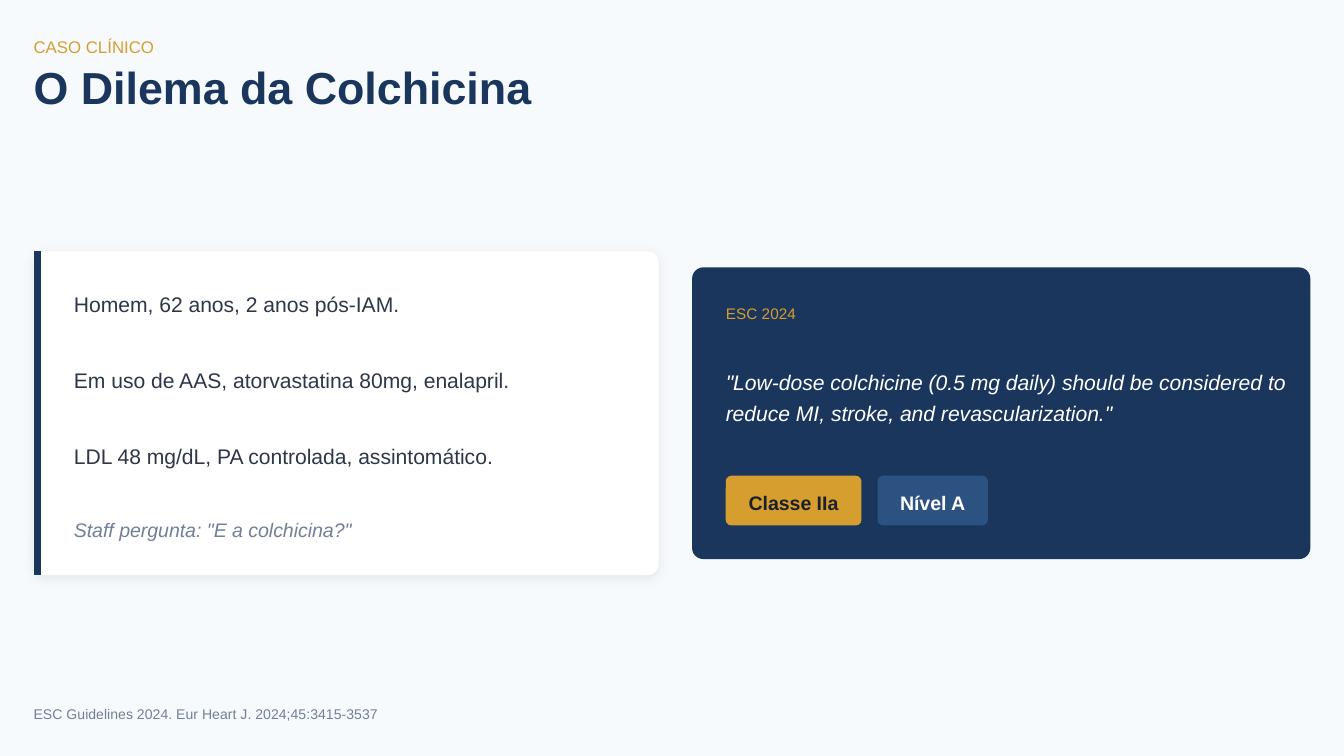
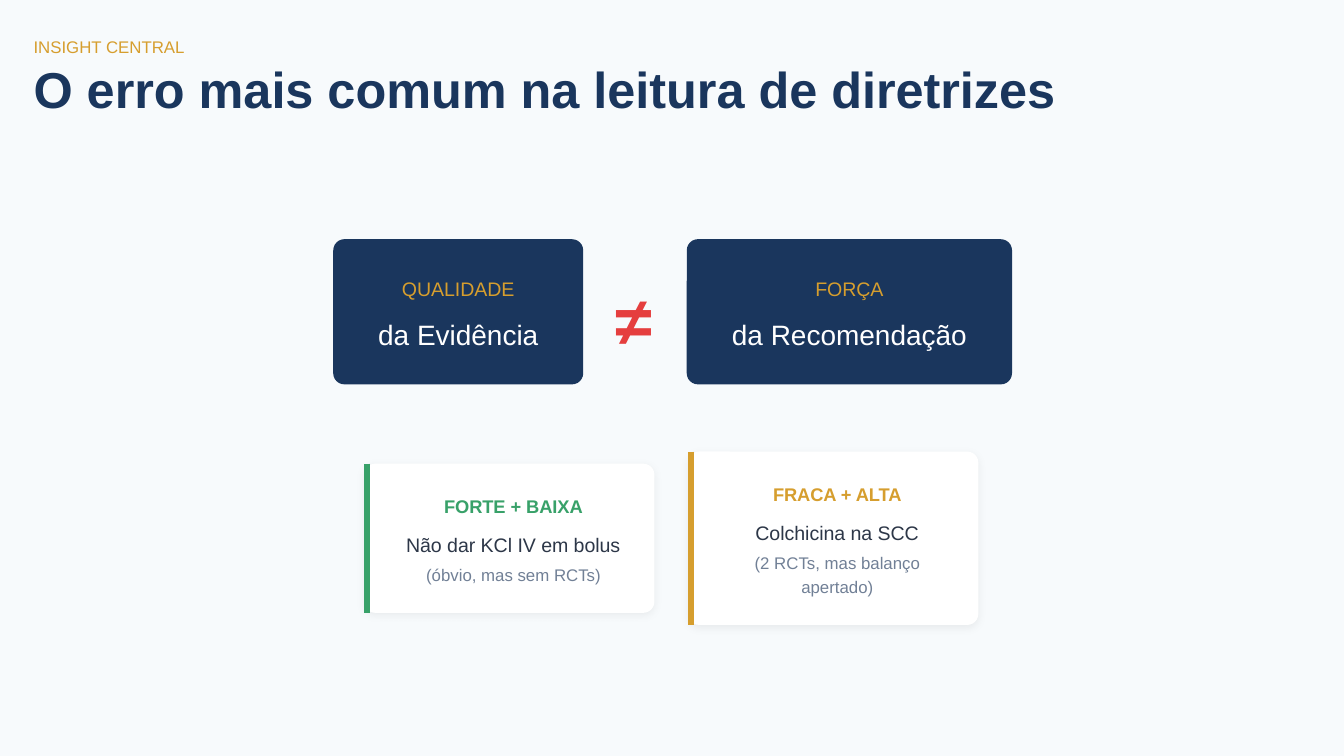
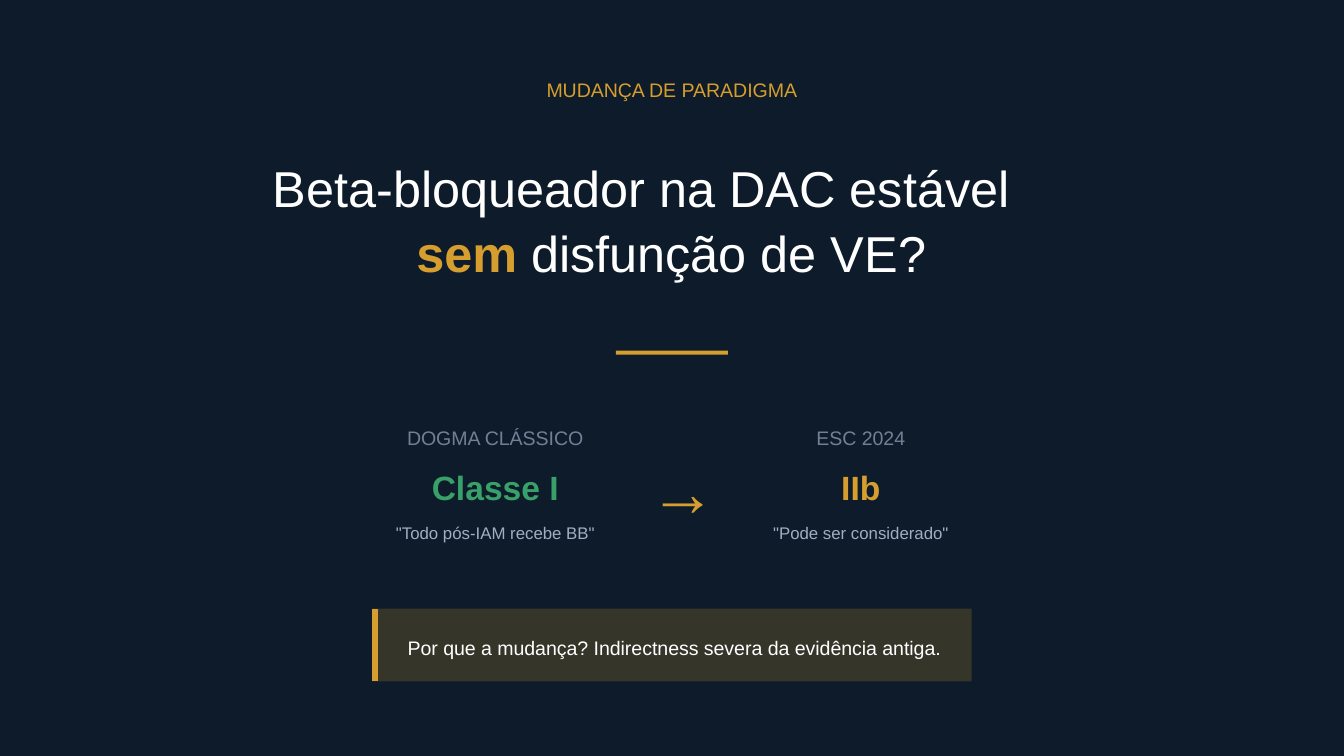
from dataclasses import dataclass

from lxml.etree import SubElement
from pptx import Presentation
from pptx.dml.color import RGBColor
from pptx.enum.shapes import MSO_CONNECTOR, MSO_SHAPE
from pptx.enum.text import MSO_ANCHOR, MSO_AUTO_SIZE, PP_ALIGN
from pptx.oxml.ns import qn
from pptx.util import Inches, Pt

# Shared look
COLORS = {
    "paper": "F7FAFC", "night": "0D1B2A", "white": "FFFFFF", "navy": "1A365D",
    "blue": "2C5282", "gold": "D69E2E", "green": "38A169", "red": "E53E3E",
    "ink": "2D3748", "black": "1A202C", "gray": "718096", "silver": "A0AEC0",
}
FONT = "Arial"
COLUMNS, ROWS = 100, 56.25  # grid cells of a tenth of an inch
POINTS_PER_CELL = 7.2
MARGIN = 2.5
LEFT, CENTER = PP_ALIGN.LEFT, PP_ALIGN.CENTER
CORNER, BADGE_CORNER = 0.83, 0.42
TITLE_ONLY, TITLE_AND_BODY = 5, 1


@dataclass
class Span:
    text: str
    color: str
    bold: bool = False
    italic: bool = False


@dataclass
class Line:
    spans: list
    size: float
    leading: float = 1.4
    rows: int = 1
    gap: float = 0  # points kept free below

    @property
    def height(self):
        return self.size * self.leading * self.rows / POINTS_PER_CELL


def line(text, color, size, bold=False, italic=False, **spacing):
    return Line([Span(text, color, bold, italic)], size, **spacing)


def cells(*counts):
    return [Inches(count / 10) for count in counts]


def rgb(name):
    return RGBColor.from_string(COLORS[name])


# Text
def clear_margins(frame):
    frame.word_wrap = True
    frame.auto_size = MSO_AUTO_SIZE.NONE
    frame.vertical_anchor = MSO_ANCHOR.TOP
    frame.margin_left = frame.margin_right = 0
    frame.margin_top = frame.margin_bottom = 0


def write(para, item, align):
    para.alignment = align
    para.line_spacing = Pt(item.size * item.leading)
    para.space_before, para.space_after = Pt(0), Pt(item.gap)
    for part in item.spans:
        span = para.add_run()
        span.text = part.text
        span.font.name, span.font.size = FONT, Pt(item.size)
        span.font.bold, span.font.italic = part.bold, part.italic
        span.font.color.rgb = rgb(part.color)


def add_stack(page, left, top, width, items, align=LEFT):
    """One text box for each line, from the top down."""
    for item in items:
        box = page.shapes.add_textbox(*cells(left, top, width, item.height))
        clear_margins(box.text_frame)
        write(box.text_frame.paragraphs[0], item, align)
        top += item.height + item.gap / POINTS_PER_CELL


def fill_placeholder(holder, left, top, width, height, items, aligns):
    holder.left, holder.top, holder.width, holder.height = cells(left, top, width, height)
    frame = holder.text_frame
    clear_margins(frame)
    for index, (item, align) in enumerate(zip(items, aligns)):
        para = frame.add_paragraph() if index else frame.paragraphs[0]
        write(para, item, align)


def set_list(page, left, top, width, items):
    body = page.placeholders[1]
    height = sum(item.height + item.gap / POINTS_PER_CELL for item in items)
    fill_placeholder(body, left, top, width, height, items, [LEFT] * len(items))
    for para in body.text_frame.paragraphs:
        properties = para._p.get_or_add_pPr()
        properties.set("marL", "0")
        properties.set("indent", "0")
        SubElement(properties, qn("a:buNone"))
    page.shapes._spTree.append(body._element)  # in front of its card


# Shapes
def add_block(page, left, top, width, height, color, corner=0, opacity=None):
    kind = MSO_SHAPE.ROUNDED_RECTANGLE if corner else MSO_SHAPE.RECTANGLE
    block = page.shapes.add_shape(kind, *cells(left, top, width, height))
    block.shadow.inherit = False
    block.fill.solid()
    block.fill.fore_color.rgb = rgb(color)
    block.line.fill.background()
    if corner:
        block.adjustments[0] = corner / min(width, height)
    if opacity:
        tone = block._element.spPr.find(".//" + qn("a:srgbClr"))
        SubElement(tone, qn("a:alpha"), val=str(opacity * 1000))
    return block


def add_soft_shadow(block, opacity, blur):
    effects = block._element.spPr.find(qn("a:effectLst"))
    shadow = SubElement(effects, qn("a:outerShdw"), blurRad=str(Pt(blur)),
                        dist=str(Pt(1.5)), dir="5400000", algn="bl", rotWithShape="0")
    tone = SubElement(shadow, qn("a:srgbClr"), val="000000")
    SubElement(tone, qn("a:alpha"), val=str(opacity * 1000))


def add_edge(page, left, top, height, color, weight):
    """Coloured stripe inside the left side of a block."""
    middle = left + weight / POINTS_PER_CELL / 2
    edge = page.shapes.add_connector(
        MSO_CONNECTOR.STRAIGHT, *cells(middle, top, middle, top + height))
    edge.line.color.rgb = rgb(color)
    edge.line.width = Pt(weight)
    SubElement(edge._element.spPr, qn("a:effectLst"))


def add_card(page, left, top, width, height, color, weight=3, opacity=6, blur=4.5):
    card = add_block(page, left, top, width, height, "white", CORNER)
    add_soft_shadow(card, opacity, blur)
    add_edge(page, left, top, height, color, weight)


def add_badge(page, left, top, width, text, color, text_color):
    add_block(page, left, top, width, 3.7, color, BADGE_CORNER)
    add_stack(page, left + 1.6, top + 0.82, width - 3.2,
              [line(text, text_color, 10.5, bold=True)], CENTER)


# Pages
def add_page(deck, background, layout=TITLE_ONLY):
    page = deck.slides.add_slide(deck.slide_layouts[layout])
    page.background.fill.solid()
    page.background.fill.fore_color.rgb = rgb(background)
    return page


def add_heading(page, label, title, size):
    add_stack(page, MARGIN, 2.5, COLUMNS - 2 * MARGIN, [line(label, "gold", 9)])
    heading = line(title, "navy", size, bold=True, leading=1)
    fill_placeholder(page.shapes.title, MARGIN, 5.1, COLUMNS - 2 * MARGIN,
                     heading.height, [heading], [LEFT])


def add_case_page(deck):
    page = add_page(deck, "paper", TITLE_AND_BODY)
    add_heading(page, "CASO CLÍNICO", "O Dilema da Colchicina", 24)

    # Patient card
    add_card(page, MARGIN, 18.7, 46.5, 24.1, "navy", weight=3.75, opacity=8, blur=6)
    facts = ["Homem, 62 anos, 2 anos pós-IAM.",
             "Em uso de AAS, atorvastatina 80mg, enalapril.",
             "LDL 48 mg/dL, PA controlada, assintomático."]
    items = [line(fact, "ink", 11.25, leading=1.5, gap=24) for fact in facts]
    items.append(line('Staff pergunta: "E a colchicina?"', "gray", 10.5, italic=True))
    set_list(page, 5.5, 21.2, 41.8, items)

    # Guideline panel
    add_block(page, 51.5, 19.9, 46, 21.7, "navy", CORNER)
    add_stack(page, 54, 22.4, 41.8, [
        line("ESC 2024", "gold", 8.25, gap=21.5),
        line('"Low-dose colchicine (0.5 mg daily) should be considered to reduce MI, '
             'stroke, and revascularization."', "white", 11.25,
             italic=True, leading=1.5, rows=2),
    ])
    add_badge(page, 54, 35.4, 10.1, "Classe IIa", "gold", "black")
    add_badge(page, 65.3, 35.4, 8.2, "Nível A", "blue", "white")

    # Source
    add_stack(page, MARGIN, 52.3, COLUMNS - 2 * MARGIN, [
        line("ESC Guidelines 2024. Eur Heart J. 2024;45:3415-3537", "gray", 7.5)])


def add_insight_page(deck):
    page = add_page(deck, "paper")
    add_heading(page, "INSIGHT CENTRAL", "O erro mais comum na leitura de diretrizes", 27)

    # Two concepts that differ
    for left, width, name, subject in [
        (24.8, 18.6, "QUALIDADE", "da Evidência"),
        (51.1, 24.2, "FORÇA", "da Recomendação"),
    ]:
        add_block(page, left, 17.8, width, 10.8, "navy", CORNER)
        add_stack(page, left + 3.2, 20.3, width - 6.4, [
            line(name, "gold", 10.5, gap=6), line(subject, "white", 15)], CENTER)
    add_stack(page, 45.8, 19.7, 2.8, [line("≠", "red", 36, bold=True)], CENTER)

    # Example cards
    for left, top, height, color, name, example, remark, rows in [
        (27.1, 34.5, 11.1, "green", "FORTE + BAIXA", "Não dar KCl IV em bolus",
         "(óbvio, mas sem RCTs)", 1),
        (51.2, 33.6, 12.9, "gold", "FRACA + ALTA", "Colchicina na SCC",
         "(2 RCTs, mas balanço apertado)", 2),
    ]:
        add_card(page, left, top, 21.6, height, color)
        add_stack(page, left + 2.4, top + 2.1, 17.4, [
            line(name, color, 9.75, bold=True, gap=6),
            line(example, "ink", 10.5, gap=3),
            line(remark, "gray", 9, rows=rows)], CENTER)


def add_paradigm_page(deck):
    page = add_page(deck, "night")
    add_stack(page, 38.3, 5.5, 23.4, [line("MUDANÇA DE PARADIGMA", "gold", 10.5)], CENTER)

    # Question
    question = [
        line("Beta-bloqueador na DAC estável", "white", 27, leading=1.3),
        Line([Span("sem", "gold", bold=True), Span(" disfunção de VE?", "white")],
             27, leading=1.3),
    ]
    fill_placeholder(page.shapes.title, 20.3, 11.3, 59.3, 9.7, question, [LEFT, CENTER])
    add_block(page, 45.83, 26.1, 8.33, 0.3, "gold")

    # Before and after
    for left, width, source, grade, color, quote in [
        (29.3, 15.1, "DOGMA CLÁSSICO", "Classe I", "green", '"Todo pós-IAM recebe BB"'),
        (57.4, 13.3, "ESC 2024", "IIb", "gold", '"Pode ser considerado"'),
    ]:
        add_stack(page, left, 31.4, width, [
            line(source, "gray", 10.5, gap=6),
            line(grade, color, 18, bold=True, gap=6),
            line(quote, "silver", 9)], CENTER)
    add_stack(page, 48.3, 32.4, 5.1, [line("→", "gold", 36)], CENTER)

    # Explanation
    add_block(page, 27.7, 45.3, 44.6, 5.4, "gold", opacity=20)
    add_edge(page, 27.7, 45.3, 5.4, "gold", 3)
    add_stack(page, 29.8, 47, 40.8, [
        line("Por que a mudança? Indirectness severa da evidência antiga.",
             "white", 10.5)], CENTER)


def main():
    deck = Presentation()
    deck.slide_width, deck.slide_height = cells(COLUMNS, ROWS)
    add_case_page(deck)
    add_insight_page(deck)
    add_paradigm_page(deck)
    deck.save("out.pptx")


if __name__ == "__main__":
    main()
